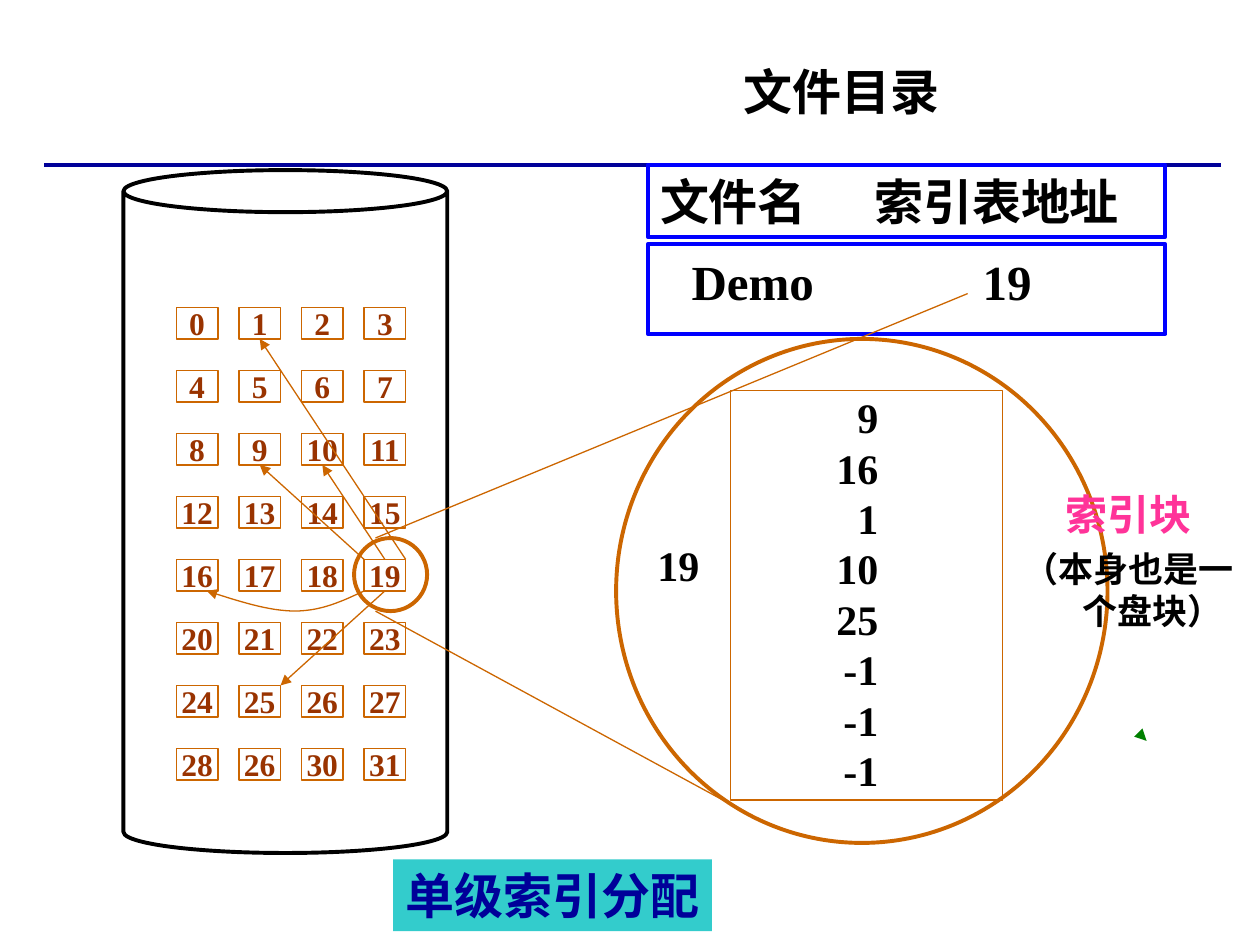
"""Build a slide on single-level index allocation of disk blocks."""
from dataclasses import dataclass

from lxml.etree import SubElement
from pptx import Presentation
from pptx.dml.color import RGBColor
from pptx.enum.shapes import MSO_CONNECTOR, MSO_SHAPE
from pptx.enum.text import MSO_ANCHOR, PP_ALIGN
from pptx.oxml.ns import qn
from pptx.util import Inches, Pt


@dataclass(frozen=True)
class Theme:
    font: str = "Times New Roman"
    black: str = "000000"
    navy: str = "000099"
    blue: str = "0000FF"
    orange: str = "CC6600"
    brown: str = "993300"
    teal: str = "33CCCC"
    pink: str = "FF3399"
    green: str = "008000"
    head: int = 28
    body: int = 24
    note: int = 20
    small: int = 18
    thin: float = 0.75
    thick: float = 2.25


T = Theme()
TITLE = "文件目录"
CAPTION = "单级索引分配"
DIRECTORY = [
    ("文件名\t索引表地址", 1.7, (5.14, 1.31, 4.11, 0.57), (5.14, 1.31, 4.11, 0.57)),
    ("Demo\t19", 2.31, (5.14, 1.94, 4.11, 0.71), (5.39, 1.95, 2.91, 0.57)),
]
BLOCKS = [*range(29), 26, 30, 31]
INDEX_BLOCK = 19
INDEX = ["9", "16", "1", "10", "25", "-1", "-1", "-1"]
NOTES = [("索引块", T.body, T.pink), ("（本身也是一个盘块）", T.note, T.black)]

COLS, GRID_LEFT, GRID_TOP = 4, 1.4, 2.44
COL_STEP, ROW_STEP = 1.49 / 3, 0.5
CELL_W, CELL_H = 0.33, 0.25
POINTERS = [
    ((1, 0), 1, (0.5, 1)),
    ((0.5, 0), 10, (0.5, 1)),
    ((0, 0), 9, (0.5, 1)),
    ((0.5, 1), 25, (1, 0)),
]
CURVE = [
    ((2.89, 4.69), (2.72, 4.77), (2.55, 4.85), (2.34, 4.85)),
    ((2.34, 4.85), (2.13, 4.85), (1.89, 4.77), (1.64, 4.69)),
]
CURVE_STEPS = 16
ZOOM_LINES = [((2.98, 4.27), (7.68, 2.33)), ((2.98, 4.85), (6.05, 6.52))]

prs = Presentation()
prs.slide_width, prs.slide_height = Inches(10), Inches(7.5)
s = prs.slides.add_slide(prs.slide_layouts[5])


def inches(values):
    return [Inches(v) for v in values]


def add_text(p, text, size, color):
    r = p.add_run()
    r.text = text
    r.font.name, r.font.size, r.font.bold = T.font, Pt(size), True
    r.font.color.rgb = RGBColor.from_string(color)


def write(sp, lines, align=PP_ALIGN.LEFT, anchor=MSO_ANCHOR.TOP, wrap=True, tab=None):
    tf = sp.text_frame
    tf.word_wrap, tf.vertical_anchor = wrap, anchor
    tf.margin_left = tf.margin_right = Inches(0.1)
    tf.margin_top = tf.margin_bottom = Inches(0.05)
    for i, (text, size, color) in enumerate(lines):
        p = tf.add_paragraph() if i else tf.paragraphs[0]
        p.alignment = align
        if tab:
            tabs = SubElement(p._p.get_or_add_pPr(), qn("a:tabLst"))
            SubElement(tabs, qn("a:tab"), pos=str(Inches(tab)), algn="l")
        add_text(p, text, size, color)
    return tf


def outline(sp, color, width):
    sp.line.color.rgb = RGBColor.from_string(color)
    sp.line.width = Pt(width)


def add_shape(kind, box, color=None, width=T.thin, fill=None):
    sp = s.shapes.add_shape(kind, *inches(box))
    sp.shadow.inherit = False
    if fill:
        sp.fill.solid()
        sp.fill.fore_color.rgb = RGBColor.from_string(fill)
    else:
        sp.fill.background()
    if color:
        outline(sp, color, width)
    else:
        sp.line.fill.background()
    return sp


def add_arrowhead(sp):
    SubElement(sp.line._get_or_add_ln(), qn("a:tailEnd"), type="triangle")


def add_line(start, end, color=T.orange, width=T.thin, arrow=False):
    c = s.shapes.add_connector(MSO_CONNECTOR.STRAIGHT, *inches(start + end))
    outline(c, color, width)
    if arrow:
        add_arrowhead(c)
    SubElement(c._element.spPr, qn("a:effectLst"))


def cell_point(block, frac=(0, 0)):
    row, col = divmod(block, COLS)
    return (GRID_LEFT + col * COL_STEP + frac[0] * CELL_W,
            GRID_TOP + row * ROW_STEP + frac[1] * CELL_H)


def bezier(points, t):
    weights = ((1 - t) ** 3, 3 * t * (1 - t) ** 2, 3 * t * t * (1 - t), t ** 3)
    return tuple(Inches(sum(w * pt[axis] for w, pt in zip(weights, points)))
                 for axis in (0, 1))


add_line((0.35, 1.31), (9.69, 1.31), T.navy, 2.5)

title = s.shapes.title
title.left, title.top, title.width, title.height = inches((5.8, 0.44, 2.59, 0.57))
write(title, [(TITLE, T.head, T.black)])

for i, block in enumerate(BLOCKS):
    sp = add_shape(MSO_SHAPE.RECTANGLE, (*cell_point(i), CELL_W, CELL_H), T.orange)
    write(sp, [(str(block), T.small, T.brown)], PP_ALIGN.CENTER, MSO_ANCHOR.MIDDLE, False)

disk = add_shape(MSO_SHAPE.CAN, (0.98, 1.35, 2.57, 5.42), T.black, T.thick)
disk.adjustments[0] = 0.13

for text, tab, frame, box in DIRECTORY:
    add_shape(MSO_SHAPE.RECTANGLE, frame, T.blue, T.thick)
    write(s.shapes.add_textbox(*inches(box)), [(text, T.head, T.black)], tab=tab)

add_shape(MSO_SHAPE.OVAL, (2.81, 4.27, 0.58, 0.58), T.orange, T.thick)
for start, block, end in POINTERS:
    add_line(cell_point(INDEX_BLOCK, start), cell_point(block, end), arrow=True)

points = [bezier(part, k / CURVE_STEPS) for part in CURVE for k in range(1, CURVE_STEPS + 1)]
builder = s.shapes.build_freeform(*bezier(CURVE[0], 0))
builder.add_line_segments(points, close=False)
curve = builder.convert_to_shape()
curve.shadow.inherit = False
curve.fill.background()
outline(curve, T.orange, T.thin)
add_arrowhead(curve)

write(s.shapes.add_textbox(*inches((6.33, 3.06, 0.74, 3.3))),
      [(n, T.body, T.black) for n in INDEX], PP_ALIGN.RIGHT)
add_shape(MSO_SHAPE.RECTANGLE, (5.8, 3.1, 2.16, 3.25), T.orange)
add_shape(MSO_SHAPE.OVAL, (4.89, 2.69, 3.9, 4), T.orange, T.thick)
write(s.shapes.add_textbox(*inches((5.12, 4.23, 0.53, 0.5))),
      [(str(INDEX_BLOCK), T.body, T.black)], wrap=False)
for start, end in ZOOM_LINES:
    add_line(start, end)

caption = add_shape(MSO_SHAPE.RECTANGLE, (3.12, 6.82, 2.53, 0.57), fill=T.teal)
write(caption, [(CAPTION, T.head, T.navy)], PP_ALIGN.CENTER, MSO_ANCHOR.MIDDLE, False)

tf = write(s.shapes.add_textbox(*inches((7.91, 3.83, 2.09, 1.24))), NOTES, PP_ALIGN.CENTER)
for p in tf.paragraphs:
    pPr = p._p.get_or_add_pPr()
    pPr.set("marL", str(Inches(0.38)))
    pPr.set("indent", str(Inches(-0.38)))
tf.paragraphs[1].space_before = Pt(5)

add_line((9.09, 5.87), (9.1, 5.88), T.green, T.thick, arrow=True)

prs.save("out.pptx")
